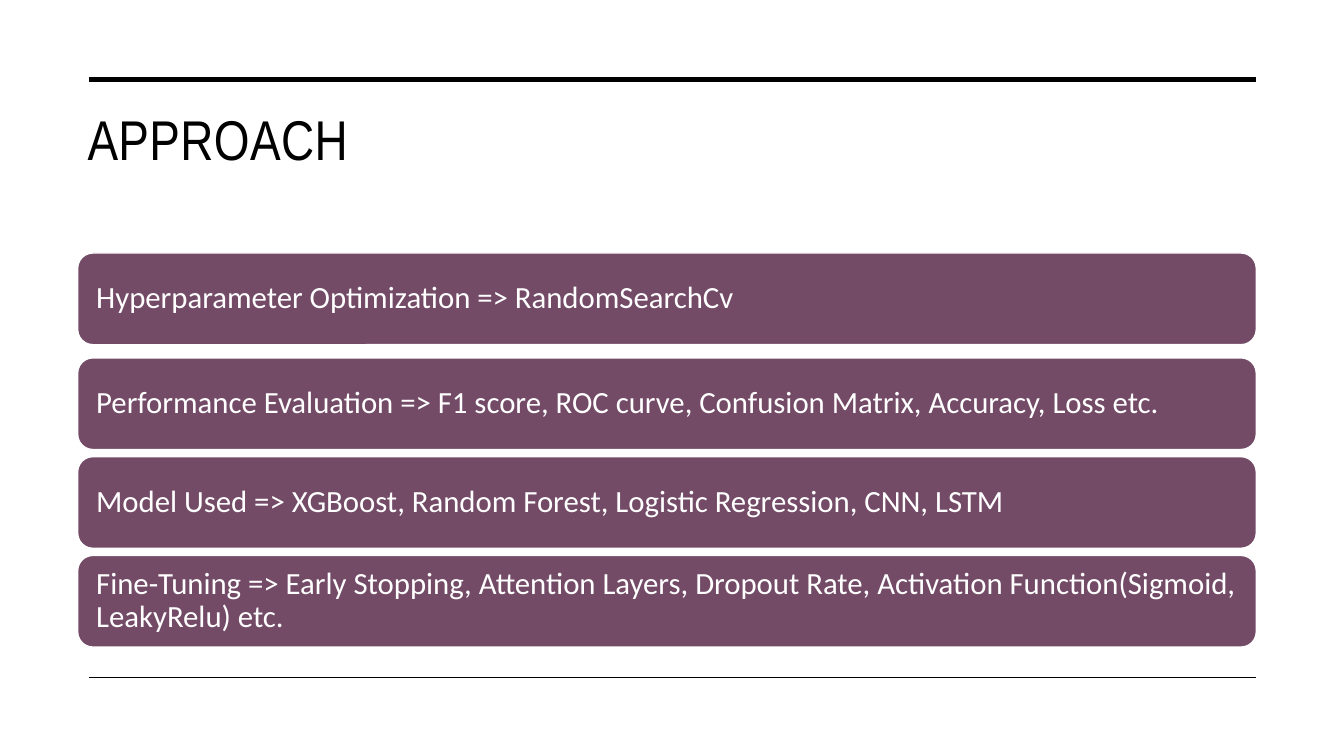
from lxml import etree
from pptx import Presentation
from pptx.dml.color import RGBColor
from pptx.enum.shapes import MSO_CONNECTOR, MSO_SHAPE
from pptx.enum.text import MSO_ANCHOR, PP_ALIGN
from pptx.oxml.ns import qn
from pptx.util import Inches, Pt

STRAIGHT = MSO_CONNECTOR.STRAIGHT
ROUNDED = MSO_SHAPE.ROUNDED_RECTANGLE
TOP = MSO_ANCHOR.TOP
MIDDLE = MSO_ANCHOR.MIDDLE
LEFT = PP_ALIGN.LEFT

BLACK = "000000"
WHITE = "FFFFFF"
PLUM = "734B67"

EDGE = 0.77
WIDTH = 11.69
STEPS = [
    (2.51, "Hyperparameter Optimization => RandomSearchCv"),
    (3.55, "Performance Evaluation => F1 score, ROC curve, Confusion Matrix, Accuracy, Loss etc."),
    (4.53, "Model Used => XGBoost, Random Forest, Logistic Regression, CNN, LSTM"),
    (5.51, "Fine-Tuning => Early Stopping, Attention Layers, Dropout Rate, "
           "Activation Function(Sigmoid, LeakyRelu) etc."),
]


def color(code):
    return RGBColor.from_string(code)


def write(shape, text, size, font, ink, anchor=MIDDLE, inset=0.14, spacing=1.0, track=0):
    frame = shape.text_frame
    frame.word_wrap = True
    frame.vertical_anchor = anchor
    frame.margin_left = frame.margin_right = Inches(inset)
    frame.margin_top = frame.margin_bottom = Inches(inset if anchor == MIDDLE else 0.05)
    line = frame.paragraphs[0]
    line.alignment = LEFT
    line.line_spacing = spacing
    run = line.add_run()
    run.text = text
    run.font.size = Pt(size)
    run.font.name = font
    run.font.color.rgb = color(ink)
    if track:
        run.font._element.set("spc", str(round(track * 100)))


def add_title(slide, text):
    box = slide.shapes.add_textbox(Inches(EDGE), Inches(0.99), Inches(WIDTH), Inches(1.15))
    write(box, text, 40, "Arial Narrow", BLACK, anchor=TOP, inset=0.1, track=0.3)


def add_rule(slide, top, weight):
    rule = slide.shapes.add_connector(
        STRAIGHT, Inches(0.88), Inches(top), Inches(12.46), Inches(top))
    rule.line.color.rgb = color(BLACK)
    rule.line.width = Pt(weight)
    etree.SubElement(rule._element.spPr, qn("a:effectLst"))


def add_step(slide, top, text):
    bar = slide.shapes.add_shape(
        ROUNDED, Inches(EDGE), Inches(top), Inches(WIDTH), Inches(0.91))
    bar.shadow.inherit = False
    bar.fill.solid()
    bar.fill.fore_color.rgb = color(PLUM)
    bar.line.color.rgb = color(WHITE)
    bar.line.width = Pt(1)
    write(bar, text, 22, "Calibri", WHITE, spacing=0.9)


def main():
    deck = Presentation()
    deck.slide_width = Inches(13.33)
    deck.slide_height = Inches(7.5)
    slide = deck.slides.add_slide(deck.slide_layouts[6])
    add_title(slide, "APPROACH")
    add_rule(slide, 0.79, 3.5)
    add_rule(slide, 6.72, 1)
    for top, text in STEPS:
        add_step(slide, top, text)
    deck.save("out.pptx")


if __name__ == "__main__":
    main()
